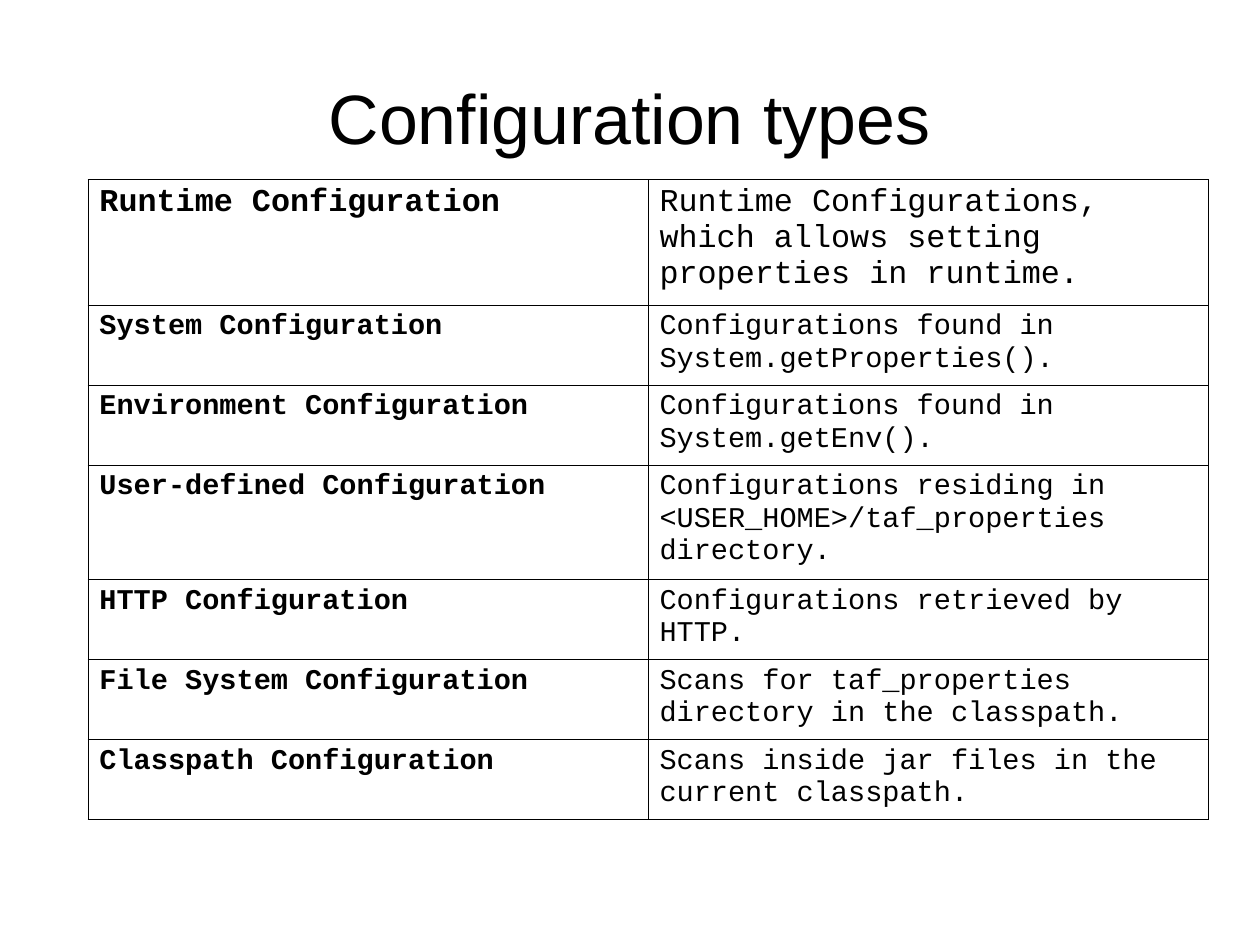
"""Build the slide that lists the configuration types in a table."""
from lxml.etree import SubElement
from pptx import Presentation
from pptx.dml.color import RGBColor
from pptx.enum.text import MSO_ANCHOR as Anchor, PP_ALIGN as Align
from pptx.oxml.ns import qn
from pptx.util import Cm, Inches, Pt

TITLE = "Configuration types"
CONFIGURATIONS = [
    ("Runtime Configuration", "Runtime Configurations, which allows setting properties in runtime.", 20, 1.1),
    ("System Configuration", "Configurations found in System.getProperties().", 18, 0.7),
    ("Environment Configuration", "Configurations found in System.getEnv().", 18, 0.7),
    ("User-defined Configuration", "Configurations residing in <USER_HOME>/taf_properties directory.", 18, 1.0),
    ("HTTP Configuration", "Configurations retrieved by HTTP.", 18, 0.7),
    ("File System Configuration", "Scans for taf_properties directory in the classpath.", 18, 0.7),
    ("Classpath Configuration", "Scans inside jar files in the current classpath.", 18, 0.7),
]
BLACK = RGBColor(0, 0, 0)
COLUMN_WIDTH = 4.9
BORDER = Pt(0.57)


def style(paragraph, face, size, bold=False):
    font = paragraph.font
    font.name, font.size, font.bold = face, Pt(size), bold
    font.color.rgb = BLACK


def outline(cell):
    properties = cell._tc.get_or_add_tcPr()
    for side in ("lnL", "lnR", "lnT", "lnB"):
        line = SubElement(properties, qn(f"a:{side}"), w=str(int(BORDER)))
        solid = SubElement(line, qn("a:solidFill"))
        SubElement(solid, qn("a:srgbClr"), val=str(BLACK))


def fill_cell(cell, text, size, bold):
    outline(cell)
    cell.fill.background()
    cell.margin_left = cell.margin_right = Inches(0.1)
    cell.margin_top = cell.margin_bottom = Inches(0.05)
    cell.text = text
    style(cell.text_frame.paragraphs[0], "Courier New", size, bold)


deck = Presentation()
deck.slide_width, deck.slide_height = Cm(28), Cm(21)
slide = deck.slides.add_slide(deck.slide_layouts[5])

title = slide.shapes.title
title.left, title.top = Inches(0.55), Inches(0.33)
title.width, title.height = Inches(9.92), Inches(1.38)
heading = title.text_frame
heading.text = TITLE
heading.vertical_anchor = Anchor.MIDDLE
heading.margin_left = heading.margin_right = heading.margin_top = heading.margin_bottom = 0
heading.paragraphs[0].alignment = Align.CENTER
style(heading.paragraphs[0], "Arial", 44)

table_height = sum(height for *_, height in CONFIGURATIONS)
table = slide.shapes.add_table(
    len(CONFIGURATIONS), 2, Inches(0.77), Inches(1.57),
    Inches(2 * COLUMN_WIDTH), Inches(table_height)).table
table.first_row = table.horz_banding = False
for column in table.columns:
    column.width = Inches(COLUMN_WIDTH)
for row, (name, description, size, height) in zip(table.rows, CONFIGURATIONS):
    row.height = Inches(height)
    fill_cell(row.cells[0], name, size, True)
    fill_cell(row.cells[1], description, size, False)

deck.save("out.pptx")
